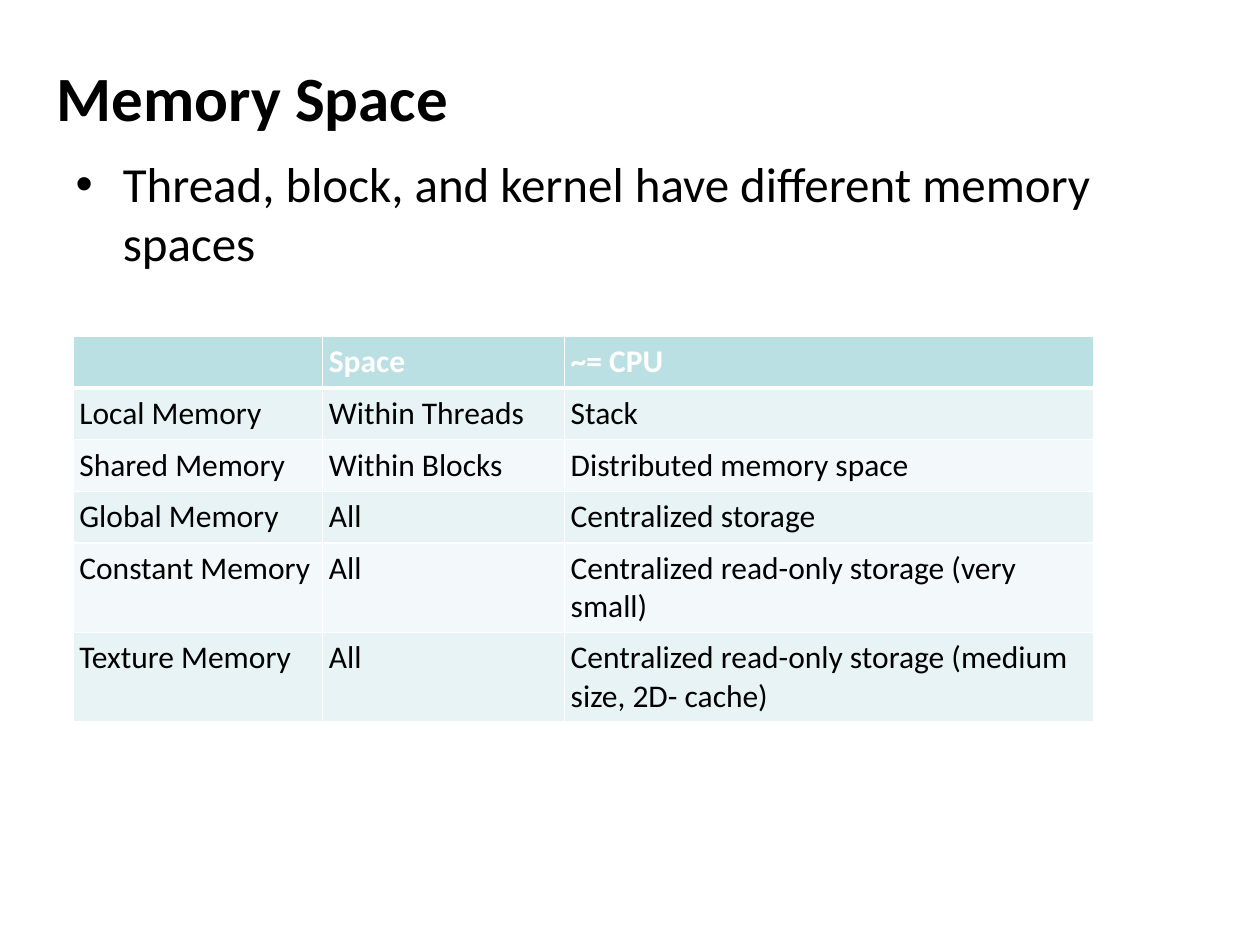
from pptx import Presentation
from pptx.dml.color import RGBColor
from pptx.enum.text import MSO_ANCHOR, PP_ALIGN
from pptx.oxml.ns import qn
from pptx.util import Inches, Pt
from lxml.etree import SubElement

COLORS = {
    "text": "000000",
    "line": "FFFFFF",
    "header_text": "FFFFFF",
    "header": "BBE0E3",
    "odd_row": "E7F3F4",
    "even_row": "F3F9FA",
}
MEMORY_ROWS = [
    ("", "Space", "~= CPU"),
    ("Local Memory", "Within Threads", "Stack"),
    ("Shared Memory", "Within Blocks", "Distributed memory space"),
    ("Global Memory", "All", "Centralized storage"),
    ("Constant Memory", "All", "Centralized read-only storage (very small)"),
    ("Texture Memory", "All", "Centralized read-only storage (medium size, 2D- cache)"),
]


class SlideBuilder:
    font = "Calibri"

    def __init__(self, slide):
        self.slide = slide

    def format_text(self, frame, size, color="text", bold=False):
        for para in frame.paragraphs:
            for span in para.runs:
                span.font.name = self.font
                span.font.size = Pt(size)
                span.font.bold = bold
                span.font.color.rgb = RGBColor.from_string(COLORS[color])

    def placeholder(self, index, text, left, top, width, height, size, bold=False):
        box = self.slide.placeholders[index]
        box.left, box.top = Inches(left), Inches(top)
        box.width, box.height = Inches(width), Inches(height)
        box.text_frame.text = text
        box.text_frame.paragraphs[0].alignment = PP_ALIGN.LEFT
        self.format_text(box.text_frame, size, bold=bold)
        return box

    def borders(self, cell, bottom=1):
        properties = cell._tc.get_or_add_tcPr()
        widths = {"a:lnL": 1, "a:lnR": 1, "a:lnT": 1, "a:lnB": bottom}
        # Border lines come before the fill in the cell properties
        for position, (tag, width) in enumerate(widths.items()):
            line = SubElement(properties, qn(tag), w=str(Pt(width)))
            fill = SubElement(line, qn("a:solidFill"))
            SubElement(fill, qn("a:srgbClr"), val=COLORS["line"])
            properties.insert(position, line)

    def cell(self, cell, text, fill, header, below_header):
        cell.text = text
        cell.margin_left = cell.margin_right = Inches(0.05)
        cell.margin_top = cell.margin_bottom = Inches(0.05)
        cell.fill.solid()
        cell.fill.fore_color.rgb = RGBColor.from_string(COLORS[fill])
        self.format_text(cell.text_frame, 18, "header_text" if header else "text", header)
        self.borders(cell, bottom=3 if header else 1)
        if below_header:
            # The thick header rule is shared with the row below
            cell._tc.tcPr.find(qn("a:lnT")).set("w", str(Pt(3)))

    def table(self, rows, left, top, column_widths, row_height):
        table = self.slide.shapes.add_table(
            len(rows), len(column_widths), Inches(left), Inches(top),
            Inches(sum(column_widths)), Inches(row_height * len(rows))).table
        for column, width in zip(table.columns, column_widths):
            column.width = Inches(width)
        for number, texts in enumerate(rows):
            table.rows[number].height = Inches(row_height)
            fill = "header" if number == 0 else "odd_row" if number % 2 else "even_row"
            for column, text in enumerate(texts):
                self.cell(table.cell(number, column), text, fill, number == 0, number == 1)


def main():
    deck = Presentation()
    deck.slide_width, deck.slide_height = Inches(10), Inches(7.5)
    page = SlideBuilder(deck.slides.add_slide(deck.slide_layouts[1]))

    # Title and bullet
    title = page.placeholder(0, "Memory Space", 0.35, 0.35, 9, 0.83, 36, bold=True)
    title.text_frame.vertical_anchor = MSO_ANCHOR.MIDDLE
    page.placeholder(1, "Thread, block, and kernel have different memory spaces",
                     0.5, 1.17, 9.05, 2.5, 28)

    # Memory types
    page.table(MEMORY_ROWS, 0.58, 2.67, [1.98, 1.92, 4.2], 0.41)

    deck.save("out.pptx")


if __name__ == "__main__":
    main()
